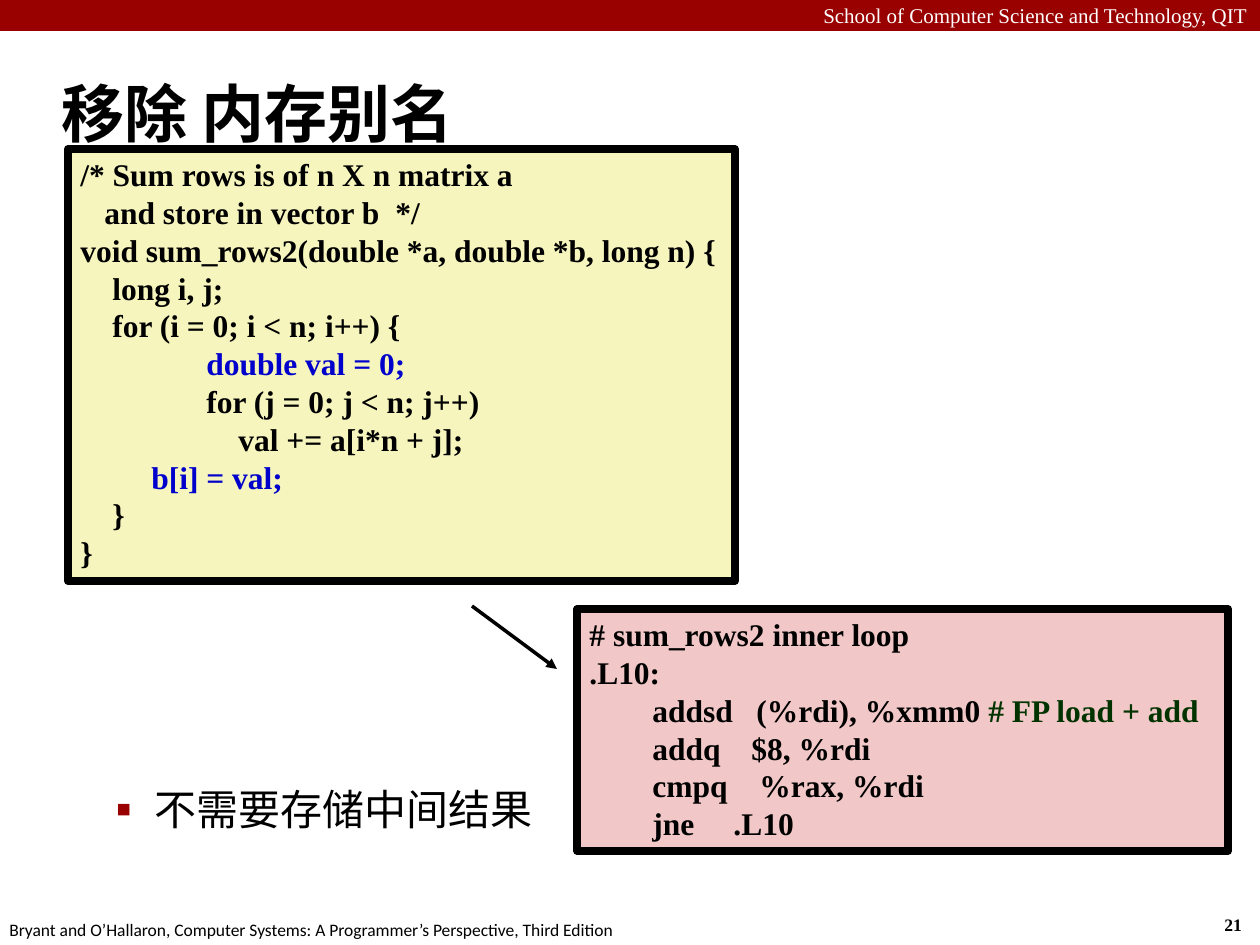
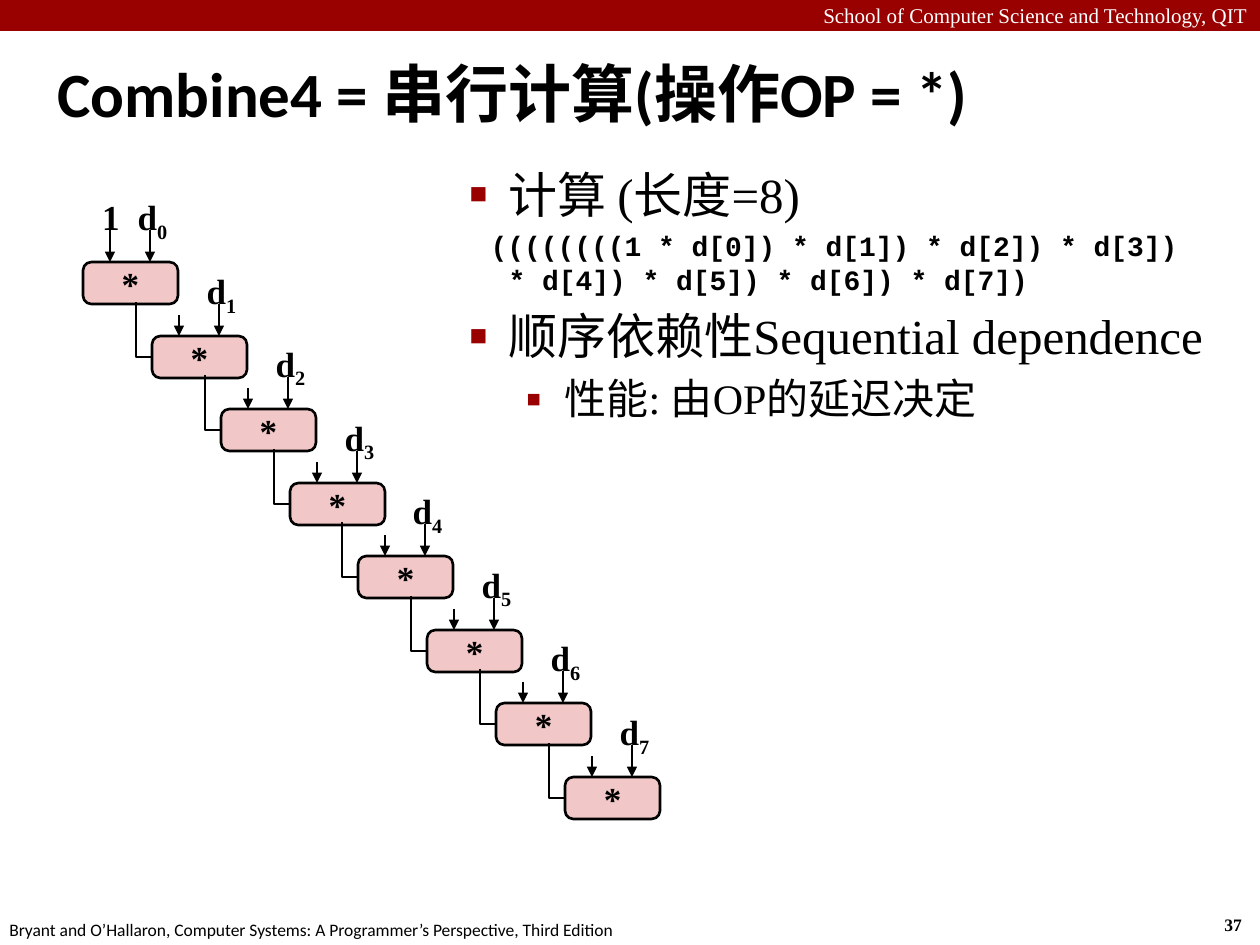
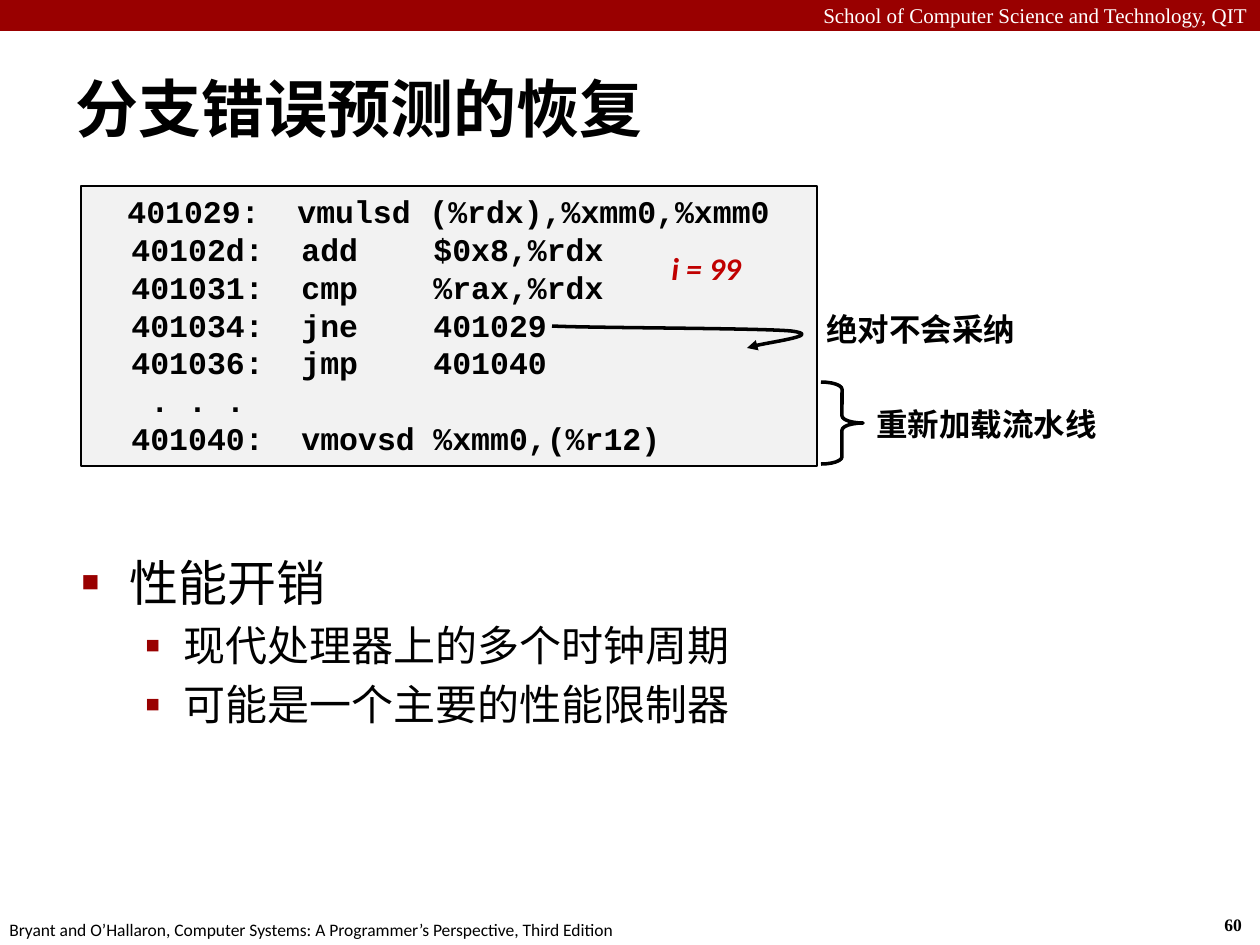
from copy import deepcopy
from dataclasses import dataclass

from lxml.etree import SubElement
from pptx import Presentation
from pptx.dml.color import RGBColor
from pptx.enum.shapes import MSO_CONNECTOR, MSO_SHAPE
from pptx.enum.text import MSO_ANCHOR, MSO_AUTO_SIZE, PP_ALIGN
from pptx.oxml.ns import qn
from pptx.util import Emu, Pt

PX = 914400 / 126


@dataclass(frozen=True)
class Theme:
    black: str = "000000"
    white: str = "FFFFFF"
    red: str = "990000"
    accent: str = "C00000"
    yellow: str = "F6F5BD"
    pink: str = "F1C7C7"
    grey: str = "F2F2F2"
    blue: str = "0000CC"
    green: str = "003300"
    sans: str = "Calibri"
    serif: str = "Times New Roman"
    mono: str = "Courier New"
    title: int = 36
    body: int = 28
    sub: int = 24
    node: int = 20
    code: int = 18
    formula: int = 16
    header: int = 12
    footer: int = 10


T = Theme()
TITLE = dict(size=T.title, name=T.sans, bold=True)
BODY = dict(size=T.body, name=T.serif, bold=False)
SUB = dict(size=T.sub, name=T.serif, bold=False)
FORMULA = dict(size=T.formula, name=T.mono, bold=True)
CODE = dict(size=T.code, name=T.serif, bold=True)
ASM = dict(size=T.code, name=T.mono, bold=True)
NOTE = dict(size=T.code, name=T.sans, bold=True)
NODE = dict(size=T.node, name=T.serif, bold=True)
HEADER = dict(size=T.header, name=T.serif, color=T.white)
NUMBER = dict(size=T.footer, name=T.serif, bold=True)
FOOTER = dict(size=T.footer, name=T.sans)

TEXT_FRAME = dict(word_wrap=True, auto_size=MSO_AUTO_SIZE.NONE, vertical_anchor=MSO_ANCHOR.TOP)


def px(n):
    return Emu(round(n * PX))


def box(*values):
    return [px(v) for v in values]


def rgb(value):
    return RGBColor.from_string(value)


def set_attrs(obj, values):
    for key, value in values.items():
        setattr(obj, key, value)


def add_run(p, text, color=T.black, size=T.code, baseline=None, **fmt):
    r = p.add_run()
    r.text = text
    set_attrs(r.font, dict(fmt, size=Pt(size)))
    r.font.color.rgb = rgb(color)
    if baseline:
        r.font._element.set("baseline", str(baseline * 1000))


def add_tabs(p, stops):
    tabs = SubElement(p._p.get_or_add_pPr(), qn("a:tabLst"))
    for stop in stops:
        SubElement(tabs, qn("a:tab"), pos=str(px(stop)), algn="l")


def set_indent(p, margin, first):
    pPr = p._p.get_or_add_pPr()
    pPr.set("marL", str(px(margin)))
    pPr.set("indent", str(px(first)))
    return pPr


def set_bullet(pPr, char, percent):
    SubElement(SubElement(pPr, qn("a:buClr")), qn("a:srgbClr"), val=T.red)
    SubElement(pPr, qn("a:buSzPct"), val=str(percent * 1000))
    SubElement(pPr, qn("a:buChar"), char=char)


def paragraphs(tf, count):
    return [tf.paragraphs[0]] + [tf.add_paragraph() for _ in range(count - 1)]


def write(tf, runs, fmt, align=PP_ALIGN.LEFT, **frame):
    set_attrs(tf, {**TEXT_FRAME, **frame})
    p = tf.paragraphs[0]
    p.alignment = align
    for text, extra in runs:
        add_run(p, text, **{**fmt, **extra})


def add_label(shapes, area, runs, fmt, align=PP_ALIGN.LEFT, **frame):
    tf = shapes.add_textbox(*box(*area)).text_frame
    write(tf, runs, fmt, align, **frame)


def paint(sp, fill=None, line=None):
    sp.shadow.inherit = False
    if fill:
        sp.fill.solid()
        sp.fill.fore_color.rgb = rgb(fill)
    else:
        sp.fill.background()
    if line:
        set_line(sp, line)
    else:
        sp.line.fill.background()


def set_line(sp, width):
    sp.line.width = Pt(width)
    sp.line.color.rgb = rgb(T.black)


def add_head(sp):
    SubElement(sp._element.spPr.find(qn("a:ln")), qn("a:tailEnd"), type="triangle")


def add_panel(shapes, kind, area, fill=None, line=None):
    sp = shapes.add_shape(kind, *box(*area))
    paint(sp, fill, line)
    return sp


def add_arrow(shapes, start, end, width):
    line = shapes.add_connector(MSO_CONNECTOR.STRAIGHT, *box(*start, *end))
    set_line(line, width)
    add_head(line)
    SubElement(line._element.spPr, qn("a:effectLst"))


def add_outline(shapes, points, width):
    builder = shapes.build_freeform(*points[0], scale=PX)
    builder.add_line_segments(points[1:], close=False)
    sp = builder.convert_to_shape()
    paint(sp, line=width)
    return sp


def add_curve(shapes, points, width):
    sp = add_outline(shapes, points, width)
    outline = next(sp._element.iter(qn("a:path")))
    segments = outline.findall(qn("a:lnTo"))
    for i in range(0, len(segments), 3):
        bezier = SubElement(outline, qn("a:cubicBezTo"))
        for segment in segments[i:i + 3]:
            bezier.append(segment[0])
            outline.remove(segment)
    add_head(sp)


def code_box(slide, area, fill, line, fmt, lines):
    sp = add_panel(slide.shapes, MSO_SHAPE.RECTANGLE, area, fill, line)
    tf = sp.text_frame
    set_attrs(tf, TEXT_FRAME)
    for p, (stops, text, *rest) in zip(paragraphs(tf, len(lines)), lines):
        p.alignment = PP_ALIGN.LEFT
        add_tabs(p, stops)
        add_run(p, text, **{**fmt, **(rest[0] if rest else {})})
        for tail, extra in rest[1:]:
            add_run(p, tail, **{**fmt, **extra})


def place(sp, area):
    set_attrs(sp, dict(zip(("left", "top", "width", "height"), box(*area))))


def add_page(prs, number, title, title_area):
    slide = prs.slides.add_slide(prs.slide_layouts[1])
    place(slide.shapes.title, title_area)
    tf = slide.shapes.title.text_frame
    write(tf, [(title, {})], TITLE, vertical_anchor=MSO_ANCHOR.MIDDLE)
    set_indent(tf.paragraphs[0], 16, -16)
    shapes = slide.shapes
    add_panel(shapes, MSO_SHAPE.RECTANGLE, (0, 0, 1260, 31), T.red)
    add_label(shapes, (0, -4, 1260, 38),
              [("School of Computer Science and Technology, QIT", {})], HEADER, PP_ALIGN.RIGHT)
    add_label(shapes, (1212, 908, 47, 34), [(str(number), {})], NUMBER, word_wrap=False)
    add_label(shapes, (-3, 913, 640, 34),
              [("Bryant and O’Hallaron, Computer Systems: A Programmer’s Perspective, Third Edition", {})],
              FOOTER, word_wrap=False)
    return slide


def fill_body(slide, area, items):
    sp = slide.placeholders[1]
    place(sp, area)
    tf = sp.text_frame
    set_attrs(tf, TEXT_FRAME)
    for p, (level, margin, first, fmt, lines) in zip(paragraphs(tf, len(items)), items):
        p.level = level
        pPr = set_indent(p, margin, first)
        if fmt is FORMULA:
            SubElement(pPr, qn("a:buNone"))
        else:
            set_bullet(pPr, *(("▪", 110) if level else ("■", 60)))
        for i, text in enumerate(lines):
            if i:
                p.add_line_break()
                p._p[-1].append(deepcopy(p.runs[-1]._r.rPr))
            add_run(p, text, **fmt)


def chain_step(shapes, x, y, index):
    first = index == 0
    sp = add_panel(shapes, MSO_SHAPE.ROUNDED_RECTANGLE, (x, y, 95, 42), T.pink, 1.5)
    sp.adjustments[0] = 0.2
    write(sp.text_frame, [("*", {})], NODE, PP_ALIGN.CENTER,
          word_wrap=False, vertical_anchor=MSO_ANCHOR.MIDDLE)
    for dx, length in ((27, 32 if first else 21), (67, 32)):
        add_arrow(shapes, (x + dx, y - length), (x + dx, y), 1.5)
    inset = dict(margin_left=px(6), margin_right=px(6))
    if first:
        add_label(shapes, (x + 8, y - 73, 40, 55), [("1", {})], NODE, PP_ALIGN.CENTER, **inset)
    else:
        add_outline(shapes, [(x - 16, y - 34), (x - 16, y + 21), (x, y + 21)], 1.5)
    add_label(shapes, (x + 41, y - 73, 57, 55),
              [("d", {}), (str(index), dict(baseline=-25))], NODE, PP_ALIGN.CENTER, **inset)


def chain(slide, left, top, width, height, count):
    shapes = slide.shapes.add_group_shape().shapes
    for i in range(count):
        chain_step(shapes, left + round(i * width / (count - 1)),
                   top + round(i * height / (count - 1)), i)


def branch_notes(slide, x, y):
    shapes = slide.shapes
    add_label(shapes, (x + 578, y + 57, 96, 64), [("i = 99", dict(color=T.accent, italic=True))],
              NOTE, word_wrap=False)
    taken = shapes.add_group_shape().shapes
    curve = [(471, 140), (511, 142), (678, 142), (710, 145), (742, 149), (675, 158), (666, 162)]
    add_curve(taken, [(x + dx, y + dy) for dx, dy in curve], 2)
    add_label(taken, (x + 733, y + 118, 217, 64), [("绝对不会采纳", {})], NOTE, word_wrap=False)
    reload = shapes.add_group_shape().shapes
    brace = add_panel(reload, MSO_SHAPE.RIGHT_BRACE, (x + 740, y + 196, 42, 82), line=2)
    brace.adjustments[0] = 0.17
    add_label(reload, (x + 783, y + 213, 248, 64), [("重新加载流水线", {})], NOTE, word_wrap=False)


def aliasing_slide(prs):
    slide = add_page(prs, 21, "移除 内存别名", (49, 60, 1211, 105))
    fill_body(slide, (40, 777, 517, 111), [(1, 102, -39, SUB, ["不需要存储中间结果"])])
    code_box(slide, (577, 609, 651, 242), T.pink, 4.5, CODE, [
        ((), "# sum_rows2 inner loop"),
        ((), ".L10:"),
        ((63, 167), "\taddsd\t(%rdi), %xmm0 ", {}, ("# FP load + add", dict(color=T.green))),
        ((63, 162), "\taddq\t$8, %rdi"),
        ((63, 170), "\tcmpq\t%rax, %rdi"),
        ((63, 144), "\tjne\t.L10"),
    ])
    add_arrow(slide.shapes, (472, 606), (557, 669), 2)
    code_box(slide, (68, 149, 667, 432), T.yellow, 4.5, CODE, [
        ((), "/* Sum rows is of n X n matrix a"),
        ((24, 315), "\tand store in vector b\t*/"),
        ((), "void sum_rows2(double *a, double *b, long n) {"),
        ((32,), "\tlong i, j;"),
        ((32,), "\tfor (i = 0; i < n; i++) {"),
        ((126,), "\tdouble val = 0;", dict(color=T.blue)),
        ((126,), "\tfor (j = 0; j < n; j++)"),
        ((158,), "\tval += a[i*n + j];"),
        ((71,), "\tb[i] = val;", dict(color=T.blue)),
        ((32,), "\t}"),
        ((), "}"),
    ])


def serial_slide(prs):
    slide = add_page(prs, 37, "Combine4 = 串行计算(操作OP = *)", (45, 39, 1194, 107))
    fill_body(slide, (457, 158, 781, 315), [
        (0, 39, -39, BODY, ["计算 (长度=8)"]),
        (1, 39, -18, FORMULA, ["((((((((1 * d[0]) * d[1]) * d[2]) * d[3]) ",
                               "* d[4]) * d[5]) * d[6]) * d[7])"]),
        (0, 39, -39, BODY, ["顺序依赖性Sequential dependence"]),
        (1, 95, -39, SUB, ["性能: 由OP的延迟决定"]),
    ])
    chain(slide, 83, 262, 482, 515, 8)


def branch_slide(prs):
    slide = add_page(prs, 60, "分支错误预测的恢复", (63, 68, 1041, 79))
    fill_body(slide, (69, 546, 1104, 189), [
        (0, 48, -48, BODY, ["性能开销"]),
        (1, 102, -39, SUB, ["现代处理器上的多个时钟周期"]),
        (1, 102, -39, SUB, ["可能是一个主要的性能限制器"]),
    ])
    columns = (38, 208, 340)
    code_box(slide, (81, 186, 736, 280), T.grey, 1, ASM, [
        ([c - 4 for c in columns], "\t401029:\tvmulsd\t(%rdx),%xmm0,%xmm0"),
        (columns, "\t40102d:\tadd\t$0x8,%rdx"),
        (columns, "\t401031:\tcmp\t%rax,%rdx"),
        (columns, "\t401034:\tjne\t401029"),
        (columns, "\t401036:\tjmp\t401040"),
        ((57,), "\t. . ."),
        (columns, "\t401040:\tvmovsd\t%xmm0,(%r12)"),
    ])
    branch_notes(slide, 81, 186)


prs = Presentation()
set_attrs(prs, dict(slide_width=px(1260), slide_height=px(945)))
for build in (aliasing_slide, serial_slide, branch_slide):
    build(prs)
prs.save("out.pptx")
